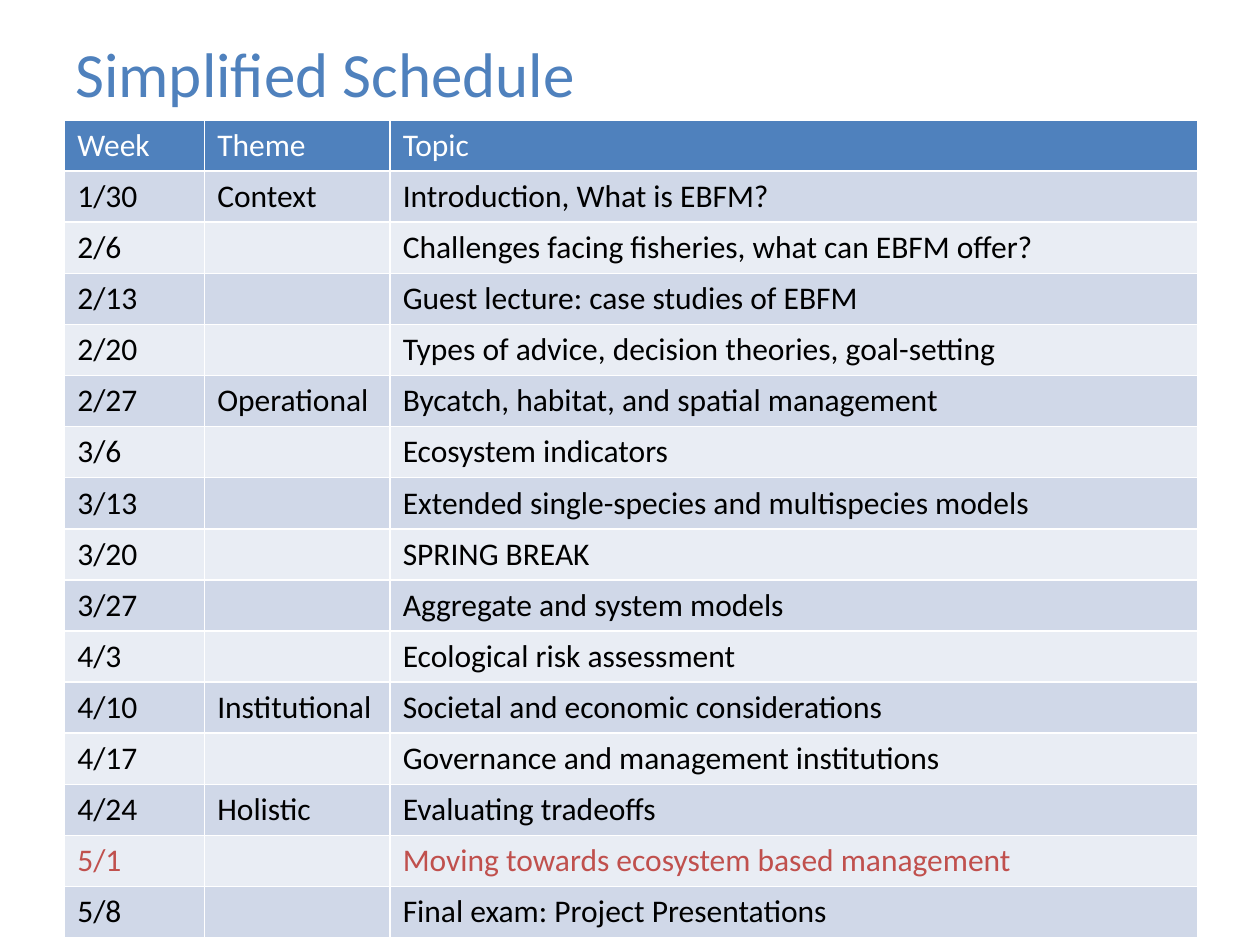
from lxml import etree
from pptx import Presentation
from pptx.dml.color import RGBColor
from pptx.enum.text import MSO_ANCHOR
from pptx.oxml.ns import qn
from pptx.util import Pt

MIDDLE = MSO_ANCHOR.MIDDLE

BLUE = RGBColor(0x4F, 0x81, 0xBD)
RED = RGBColor(0xC0, 0x50, 0x4D)
WHITE = RGBColor(0xFF, 0xFF, 0xFF)
BLACK = RGBColor(0x00, 0x00, 0x00)
BAND_DARK = RGBColor(0xD0, 0xD8, 0xE8)
BAND_LIGHT = RGBColor(0xE9, 0xED, 0xF4)

HEADINGS = ("Week", "Theme", "Topic")
SCHEDULE = [
    ("1/30", "Context", "Introduction, What is EBFM?"),
    ("2/6", "", "Challenges facing fisheries, what can EBFM offer?"),
    ("2/13", "", "Guest lecture: case studies of EBFM"),
    ("2/20", "", "Types of advice, decision theories, goal-setting"),
    ("2/27", "Operational", "Bycatch, habitat, and spatial management"),
    ("3/6", "", "Ecosystem indicators"),
    ("3/13", "", "Extended single-species and multispecies models"),
    ("3/20", "", "SPRING BREAK"),
    ("3/27", "", "Aggregate and system models"),
    ("4/3", "", "Ecological risk assessment"),
    ("4/10", "Institutional", "Societal and economic considerations"),
    ("4/17", "", "Governance and management institutions"),
    ("4/24", "Holistic", "Evaluating tradeoffs"),
    ("5/1", "", "Moving towards ecosystem based management"),
    ("5/8", "", "Final exam: Project Presentations"),
]
HIGHLIGHTED_WEEK = "5/1"


class SlideBuilder:
    """Holds the style and the current slide."""

    font_name = "Calibri"
    title_size = 36
    table_size = 18
    border_width = 1

    def __init__(self, page):
        self.page = page

    def set_text(self, paragraph, text, size, color):
        paragraph.text = text
        font = paragraph.font
        font.name, font.size = self.font_name, Pt(size)
        font.color.rgb = color

    def title(self, text, left, top, width, height):
        box = self.page.shapes.add_textbox(Pt(left), Pt(top), Pt(width), Pt(height))
        frame = box.text_frame
        frame.word_wrap = True
        frame.vertical_anchor = MIDDLE
        self.set_text(frame.paragraphs[0], text, self.title_size, BLUE)

    def borders(self, cell):
        properties = cell._tc.get_or_add_tcPr()
        for side in ("lnL", "lnR", "lnT", "lnB"):
            line = etree.SubElement(properties, qn(f"a:{side}"), w=str(Pt(self.border_width)))
            fill = etree.SubElement(line, qn("a:solidFill"))
            etree.SubElement(fill, qn("a:srgbClr"), val=str(WHITE))

    def cell(self, cell, text, fill, color):
        self.borders(cell)
        cell.fill.solid()
        cell.fill.fore_color.rgb = fill
        self.set_text(cell.text_frame.paragraphs[0], text, self.table_size, color)

    def table(self, headings, records, left, top, widths, row_height):
        rows = [headings, *records]
        frame = self.page.shapes.add_table(
            len(rows), len(widths), Pt(left), Pt(top),
            Pt(sum(widths)), Pt(row_height * len(rows)))
        table = frame.table
        for column, width in zip(table.columns, widths):
            column.width = Pt(width)
        for index, values in enumerate(rows):
            table.rows[index].height = Pt(row_height)
            if index == 0:
                fill, color = BLUE, WHITE
            else:
                fill = BAND_DARK if index % 2 else BAND_LIGHT
                color = RED if values[0] == HIGHLIGHTED_WEEK else BLACK
            for position, text in enumerate(values):
                self.cell(table.cell(index, position), text, fill, color)


def main():
    deck = Presentation()
    deck.slide_width, deck.slide_height = Pt(720), Pt(540)
    builder = SlideBuilder(deck.slides.add_slide(deck.slide_layouts[6]))

    # Heading
    builder.title("Simplified Schedule", 36, 14.4, 648, 54)

    # Weekly schedule
    builder.table(HEADINGS, SCHEDULE, 37, 68.6, (80, 106, 461.5), 29.2)

    deck.save("out.pptx")


if __name__ == "__main__":
    main()
